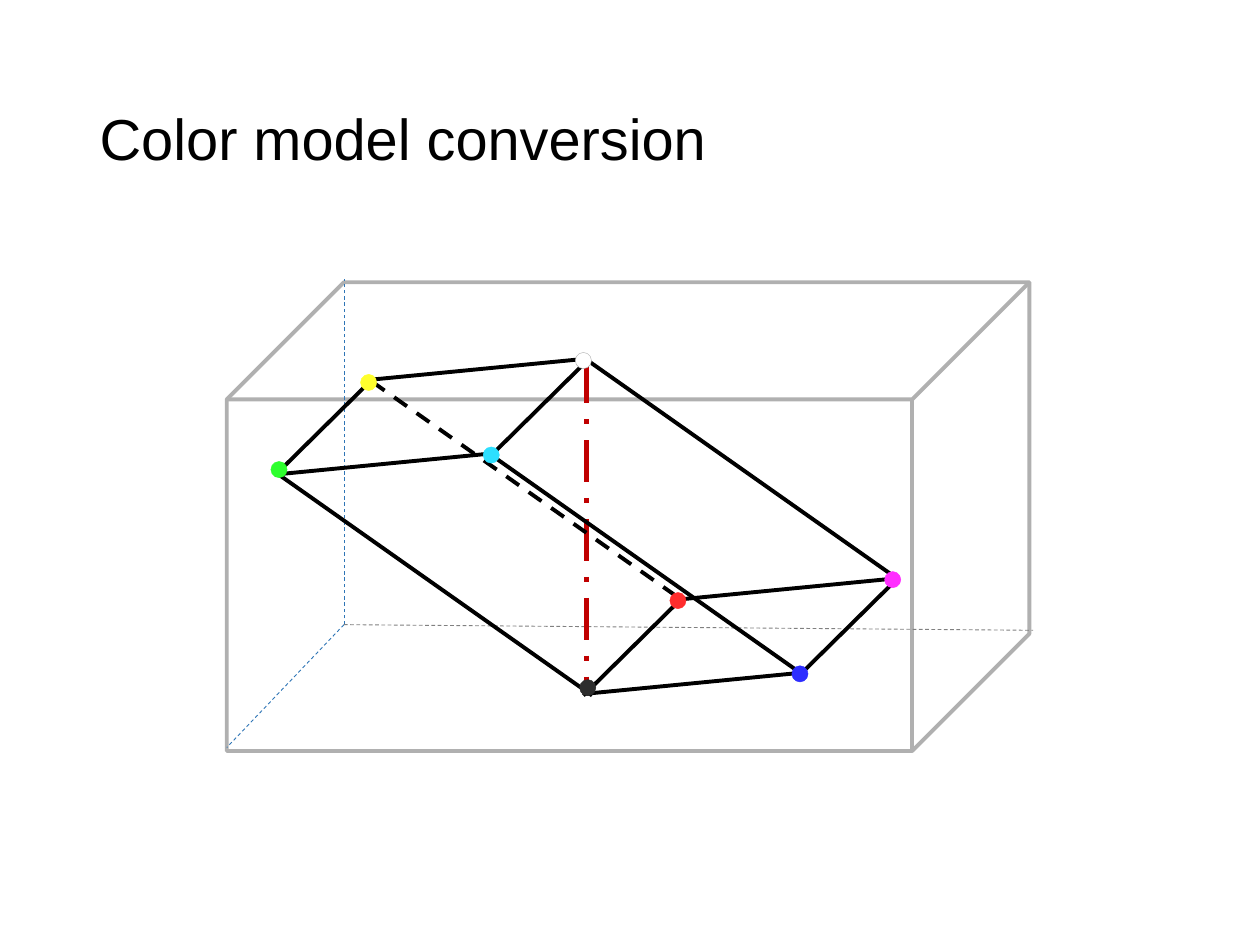
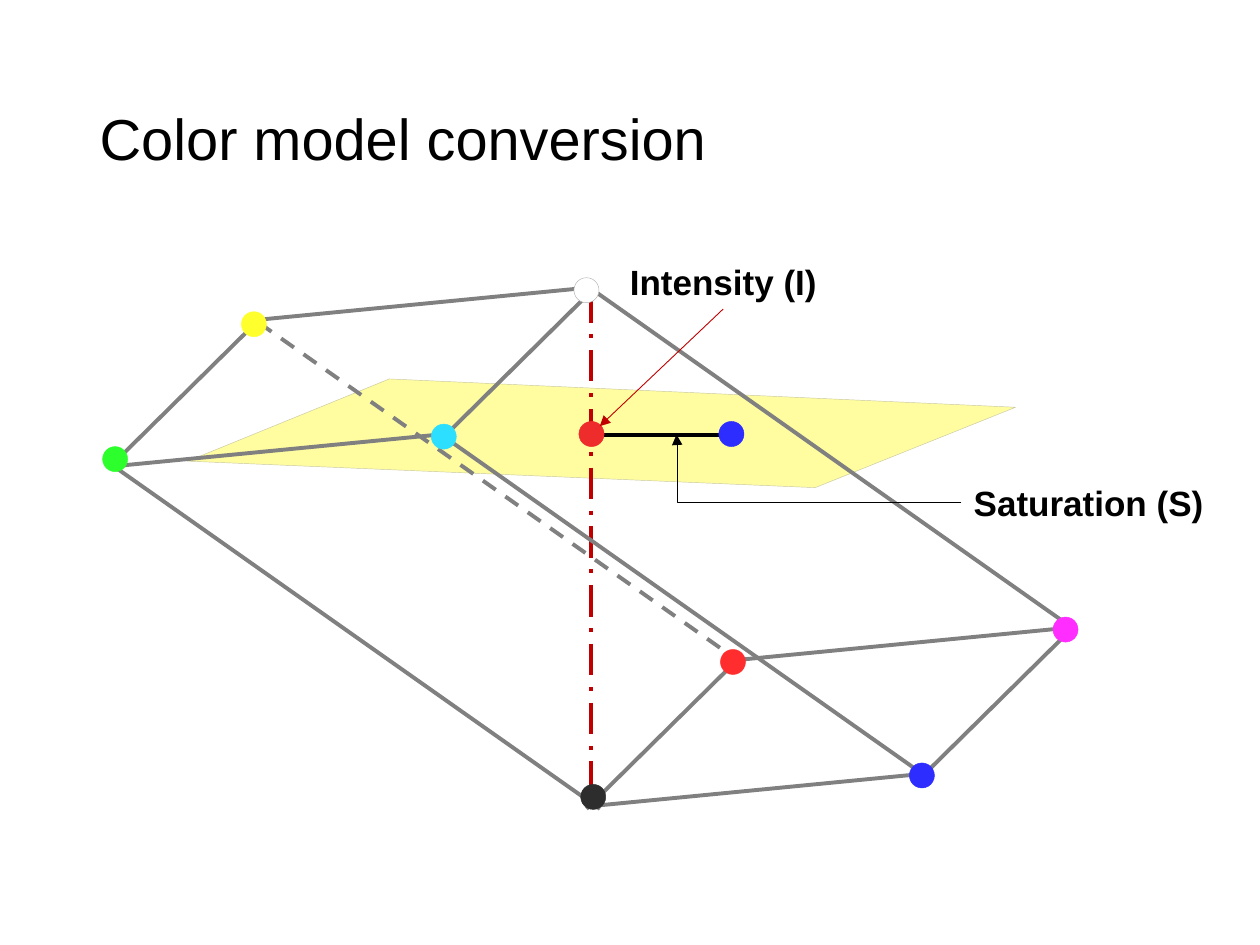
from collections import namedtuple

from lxml import etree
from pptx import Presentation
from pptx.dml.color import RGBColor
from pptx.enum.dml import MSO_LINE_DASH_STYLE as DASH
from pptx.enum.shapes import MSO_CONNECTOR as CONN, MSO_SHAPE as SHAPE
from pptx.enum.text import MSO_ANCHOR, MSO_AUTO_SIZE, PP_ALIGN
from pptx.oxml.ns import qn
from pptx.util import Inches, Pt

FONT = "Arial"
INK = RGBColor(0x00, 0x00, 0x00)
GREY = RGBColor(0x80, 0x80, 0x80)
SILVER = RGBColor(0xB0, 0xB0, 0xB0)
STEEL = RGBColor(0x2E, 0x75, 0xB6)
CRIMSON = RGBColor(0xC0, 0x00, 0x00)
SCARLET = RGBColor(0xEF, 0x2C, 0x2C)
PLANE = RGBColor(0xFF, 0xFD, 0xA0)
PLANE_EDGE = RGBColor(0xC8, 0xC8, 0xA0)
RED = RGBColor(0xFF, 0x2D, 0x2D)
GREEN = RGBColor(0x2D, 0xFF, 0x2D)
BLUE = RGBColor(0x2D, 0x2D, 0xFF)
CYAN = RGBColor(0x2D, 0xDF, 0xFF)
MAGENTA = RGBColor(0xFF, 0x2D, 0xFF)
YELLOW = RGBColor(0xFF, 0xFF, 0x2D)
BLACK = RGBColor(0x2D, 0x2D, 0x2D)
WHITE = RGBColor(0xFF, 0xFF, 0xFF)

TITLE = "Color model conversion"
DOT_SHARE = 2.6

EDGE_FAMILIES = [
    ((50.1, 65.1), [(0.9, 34.9), (49.7, 0), (34.2, 28), (15.6, 7)]),
    ((35.1, -6.3), [(49.9, 99.5), (64.8, 71.6), (15.3, 6.5), (0.4, 34.5)]),
    ((-15.6, 28.4), [(65.2, 71.6), (99.7, 66), (15.6, 6.5), (50.1, 1)]),
]
HIDDEN_EDGE = (15.6, 7)
AXIS = ((50.1, 1), (50.1, 98.1))
CORNERS = [
    (MAGENTA, (99.3, 65.7)), (BLACK, (50.3, 97.7)),
    (BLUE, (84.4, 93.6)), (RED, (64.8, 71.9)),
    (WHITE, (49.6, 0.8)), (GREEN, (0.7, 33.1)),
    (CYAN, (34.8, 28.8)), (YELLOW, (15.1, 7.3)),
]


class Box(namedtuple("Box", "left top width height")):
    def point(self, col, row):
        return (int(self.left + self.width * col / 100),
                int(self.top + self.height * row / 100))

    def area(self, col, row, cols, rows):
        return Box(*self.point(col, row),
                   int(self.width * cols / 100), int(self.height * rows / 100))


def apply(target, formats):
    for name, value in formats.items():
        setattr(target, name, value)


def style_line(line, color, width, dash=None):
    line.color.rgb = color
    apply(line, {"width": Pt(width), "dash_style": dash})


def add_line(slide, box, start, end, color, width, dash=None,
             kind=CONN.STRAIGHT, arrow=False):
    c = slide.shapes.add_connector(kind, *box.point(*start), *box.point(*end))
    style_line(c.line, color, width, dash)
    properties = c._element.spPr
    if arrow:
        etree.SubElement(properties.find(qn("a:ln")), qn("a:tailEnd"),
                         type="triangle")
    etree.SubElement(properties, qn("a:effectLst"))
    return c


def add_dot(slide, box, center, color, size):
    x, y = box.point(*center)
    s = slide.shapes.add_shape(SHAPE.OVAL, x - size // 2, y - size // 2, size, size)
    s.shadow.inherit = False
    s.fill.solid()
    s.fill.fore_color.rgb = color
    style_line(s.line, SILVER if color == WHITE else color, 0.25)


def write(s, text, size, **formats):
    tf = s.text_frame
    p = tf.paragraphs[0]
    apply(p, {"alignment": PP_ALIGN.LEFT, **formats})
    r = p.add_run()
    r.text = text
    apply(r.font, {"name": FONT, "size": Pt(size)})
    r.font.color.rgb = INK
    return tf, r


def add_title(slide, page):
    s = slide.shapes.title
    box = page.area(6.9, 5.33, 86.2, 19.33)
    apply(s, dict(zip(("left", "top", "width", "height"), box)))
    tf, r = write(s, TITLE, 33, line_spacing=0.9)
    apply(tf, {"vertical_anchor": MSO_ANCHOR.MIDDLE, "word_wrap": True})


def add_label(slide, box, text):
    s = slide.shapes.add_textbox(*box)
    tf, r = write(s, text, 20)
    r.font.bold = True
    apply(tf, {"word_wrap": False, "auto_size": MSO_AUTO_SIZE.SHAPE_TO_FIT_TEXT})


def add_prism(slide, box, color, axis_width):
    add_line(slide, box, *AXIS, CRIMSON, axis_width, DASH.LONG_DASH_DOT)
    for (cols, rows), starts in EDGE_FAMILIES:
        for col, row in starts:
            dash = DASH.DASH if (col, row) == HIDDEN_EDGE else None
            add_line(slide, box, (col, row), (col + cols, row + rows),
                     color, 2.25, dash)
    for fill, center in CORNERS:
        add_dot(slide, box, center, fill, int(box.width * DOT_SHARE / 100))


def add_cube(slide, page):
    s = slide.shapes.add_shape(SHAPE.CUBE, *page.area(18, 29.87, 63.7, 49.6))
    s.shadow.inherit = False
    s.fill.background()
    style_line(s.line, SILVER, 2.25)
    back = (27.3, 66.1)
    for end, color in [((27.3, 29.5), STEEL), ((18, 79.1), STEEL),
                       ((82, 66.7), GREY)]:
        add_line(slide, page, back, end, color, 0.5, DASH.DASH)


def add_plane(slide, page):
    first, *rest = [page.point(*corner) for corner in
                    [(14.9, 48.8), (30.9, 40.1), (80.6, 43.1), (64.7, 51.6)]]
    builder = slide.shapes.build_freeform(*first)
    builder.add_line_segments(rest, close=True)
    s = builder.convert_to_shape()
    s.shadow.inherit = False
    s.fill.solid()
    s.fill.fore_color.rgb = PLANE
    style_line(s.line, PLANE_EDGE, 0.25)


def add_measures(slide, page):
    size = int(page.width * 0.02)
    add_line(slide, page, (57.1, 46), (47.9, 46), INK, 2.25)
    add_dot(slide, page, (58.05, 45.93), BLUE, size)
    add_dot(slide, page, (46.95, 45.93), SCARLET, size)
    add_label(slide, page.area(49, 26.93, 16.9, 5.87), "Intensity (I)")
    add_line(slide, page, (57.4, 32.7), (47.6, 45.1), CRIMSON, 0.5, arrow=True)
    add_label(slide, page.area(76.3, 50.27, 20.4, 5.87), "Saturation (S)")
    c = add_line(slide, page, (76.3, 53.2), (53.7, 46), INK, 0.5,
                 kind=CONN.ELBOW, arrow=True)
    guides = c._element.spPr.find(qn("a:prstGeom")).find(qn("a:avLst"))
    etree.SubElement(guides, qn("a:gd"), name="adj1", fmla="val 99800")


def cube_slide(slide, page):
    add_title(slide, page)
    add_cube(slide, page)
    add_prism(slide, page.area(21.8, 37.87, 49.4, 35.73), INK, 3)


def plane_slide(slide, page):
    add_plane(slide, page)
    add_title(slide, page)
    add_prism(slide, page.area(8.6, 30.27, 76.5, 55.33), GREY, 2.25)
    add_measures(slide, page)


def main():
    prs = Presentation()
    apply(prs, {"slide_width": Inches(10), "slide_height": Inches(7.5)})
    page = Box(0, 0, prs.slide_width, prs.slide_height)
    for build in (cube_slide, plane_slide):
        build(prs.slides.add_slide(prs.slide_layouts[5]), page)
    prs.save("out.pptx")


if __name__ == "__main__":
    main()
